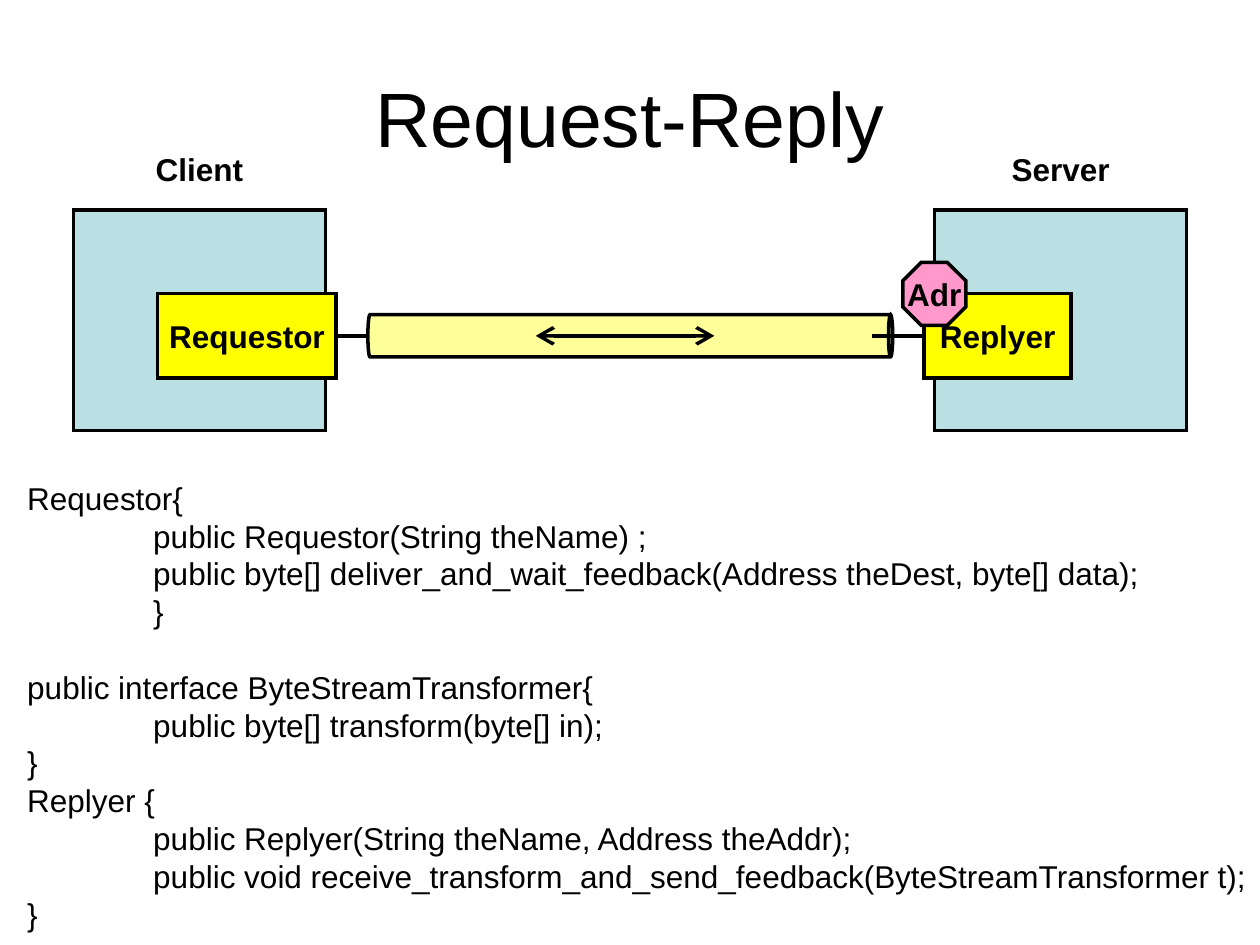
from lxml.etree import SubElement
from pptx import Presentation
from pptx.dml.color import RGBColor
from pptx.enum.shapes import MSO_CONNECTOR, MSO_SHAPE
from pptx.enum.text import MSO_ANCHOR, PP_ALIGN
from pptx.oxml.ns import qn
from pptx.util import Cm, Pt

BLACK = RGBColor(0x00, 0x00, 0x00)
TEAL = RGBColor(0xBB, 0xE0, 0xE3)
PALE_YELLOW = RGBColor(0xFF, 0xFF, 0x99)
YELLOW = RGBColor(0xFF, 0xFF, 0x00)
PINK = RGBColor(0xFF, 0x99, 0xCC)
AXIS = 6.77


def write(frame, text, size=18, bold=False, align=PP_ALIGN.CENTER,
          anchor=MSO_ANCHOR.MIDDLE, spacing=None, wrap=False, tab=None):
    frame.word_wrap = wrap
    frame.vertical_anchor = anchor
    frame.text = text
    for line in frame.paragraphs:
        if tab:
            stops = SubElement(line._p.get_or_add_pPr(), qn("a:tabLst"))
            SubElement(stops, qn("a:tab"), pos=str(tab), algn="l")
        line.alignment = align
        line.line_spacing = spacing
        line.font.name = "Arial"
        line.font.size = Pt(size)
        line.font.bold = bold
        line.font.color.rgb = BLACK


def outlined(kind, left, top, width, height, fill):
    body = slide.shapes.add_shape(kind, Cm(left), Cm(top), Cm(width), Cm(height))
    body.shadow.inherit = False
    body.fill.solid()
    body.fill.fore_color.rgb = fill
    body.line.color.rgb = BLACK
    body.line.width = Pt(2)
    SubElement(body.line._get_or_add_ln(), qn("a:miter"), lim="800000")
    return body


deck = Presentation()
deck.slide_width, deck.slide_height = Cm(25.4), Cm(19.05)
slide = deck.slides.add_slide(deck.slide_layouts[5])

title = slide.shapes.title
title.left, title.top, title.width, title.height = Cm(1.27), Cm(0.76), Cm(22.86), Cm(3.18)
write(title.text_frame, "Request-Reply", size=44, wrap=True)

for host, left in (("Client", 1.48), ("Server", 18.84)):
    outlined(MSO_SHAPE.RECTANGLE, left, 4.23, 5.08, 4.45, TEAL)
    caption = slide.shapes.add_textbox(Cm(left), Cm(2.94), Cm(5.08), Cm(0.93))
    write(caption.text_frame, host, bold=True)

channel = outlined(MSO_SHAPE.CAN, 12.28, 1.48, 0.85, 10.58, PALE_YELLOW)
channel.rotation = 90
channel.adjustments[0] = 0.1

requestor = outlined(MSO_SHAPE.RECTANGLE, 3.18, 5.92, 3.6, 1.7, YELLOW)
write(requestor.text_frame, "Requestor", bold=True)
replyer = outlined(MSO_SHAPE.RECTANGLE, 18.63, 5.92, 2.96, 1.7, YELLOW)
write(replyer.text_frame, "Replyer", bold=True)

links = []
for start, end in ((10.8, 14.4), (6.78, 7.41), (17.57, 18.63)):
    link = slide.shapes.add_connector(
        MSO_CONNECTOR.STRAIGHT, Cm(start), Cm(AXIS), Cm(end), Cm(AXIS))
    link.line.color.rgb = BLACK
    link.line.width = Pt(2)
    SubElement(link._element.spPr, qn("a:effectLst"))
    links.append(link)
exchange, requestor_link, replyer_link = links
requestor_link.begin_connect(requestor, 3)
replyer_link.end_connect(replyer, 1)
for tip in ("a:headEnd", "a:tailEnd"):
    SubElement(exchange.line._get_or_add_ln(), qn(tip), type="arrow", w="lg", len="lg")

code = """Requestor{
\tpublic Requestor(String theName) ;
\tpublic byte[] deliver_and_wait_feedback(Address theDest, byte[] data);
\t}
public interface ByteStreamTransformer{
\tpublic byte[] transform(byte[] in);
}
Replyer {
\tpublic Replyer(String theName, Address theAddr);
\tpublic void receive_transform_and_send_feedback(ByteStreamTransformer t);
}"""
listing = slide.shapes.add_textbox(Cm(0.3), Cm(9.53), Cm(25.1), Cm(9.5))
write(listing.text_frame, code, align=PP_ALIGN.LEFT, anchor=MSO_ANCHOR.TOP,
      spacing=Pt(21.6), tab=Cm(2.54))
listing.text_frame.paragraphs[4].space_before = Pt(21.6)

address = outlined(MSO_SHAPE.OCTAGON, 18.2, 5.29, 1.27, 1.27, PINK)
write(address.text_frame, "Adr", bold=True)

deck.save("out.pptx")
